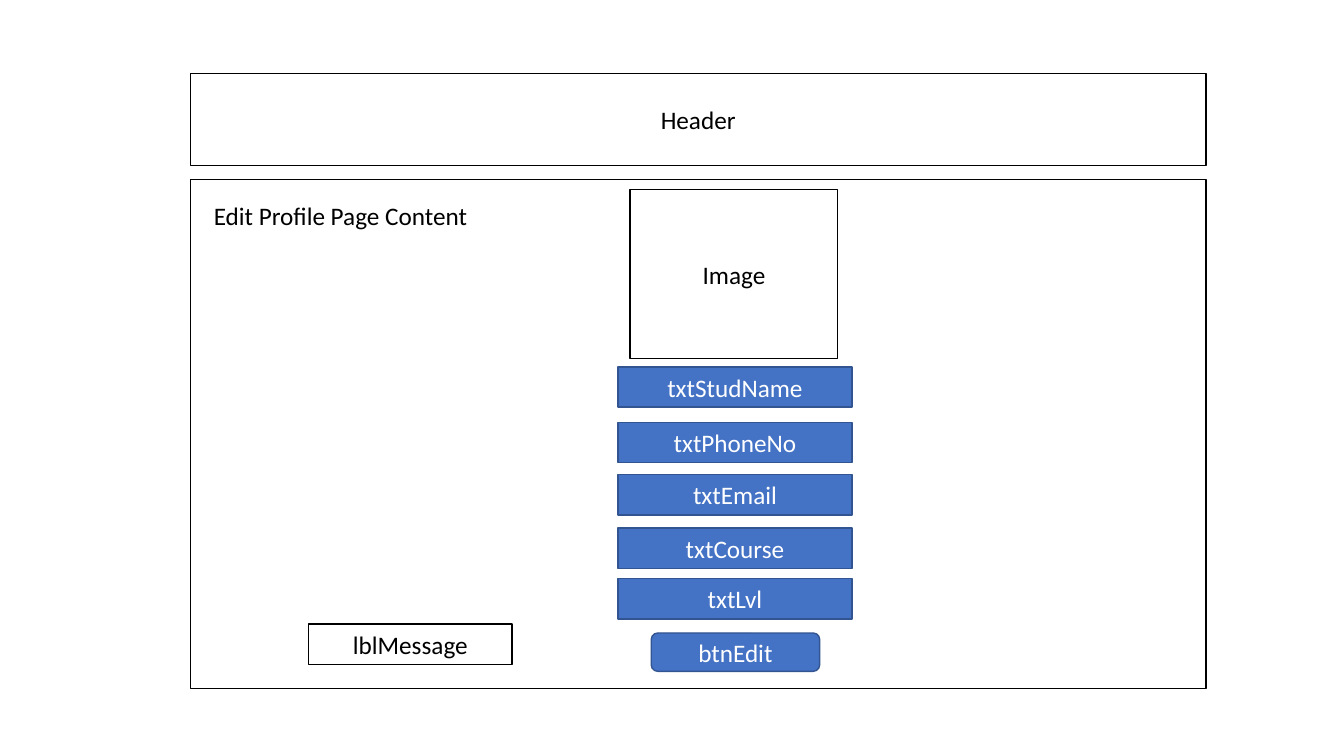
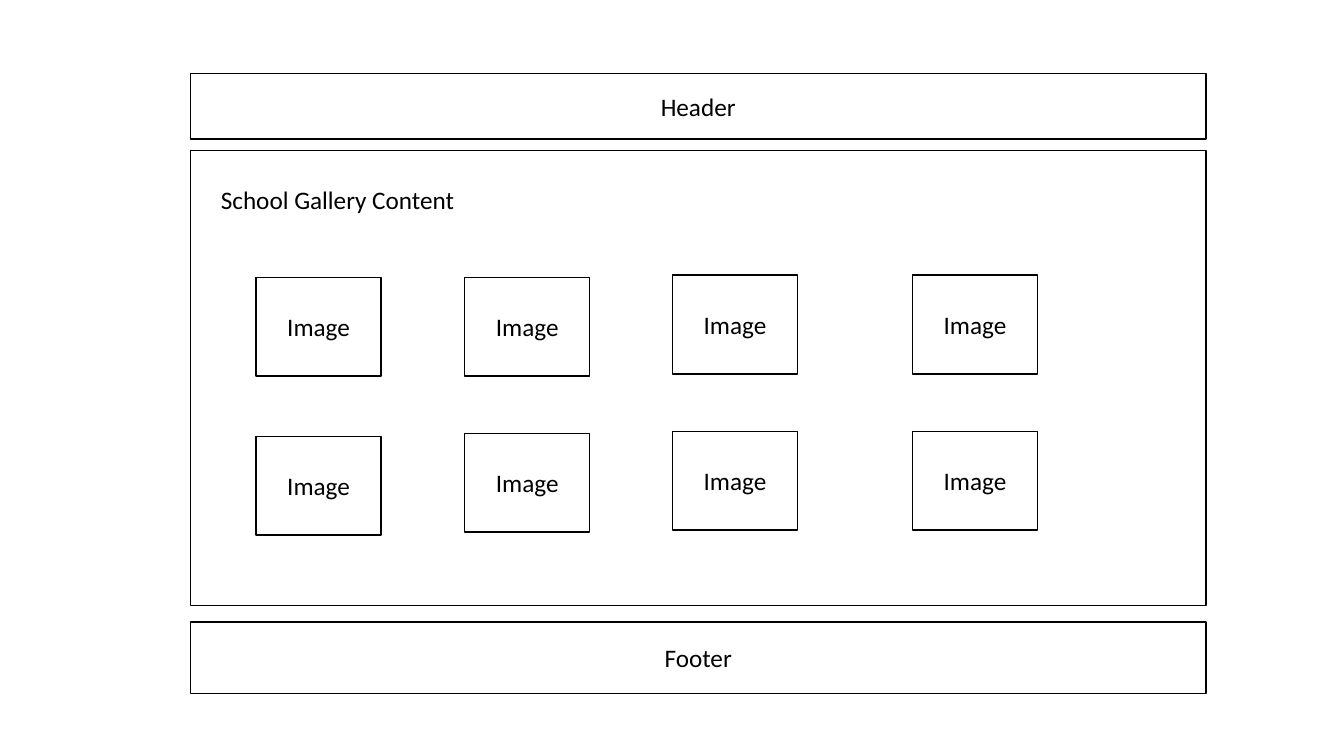
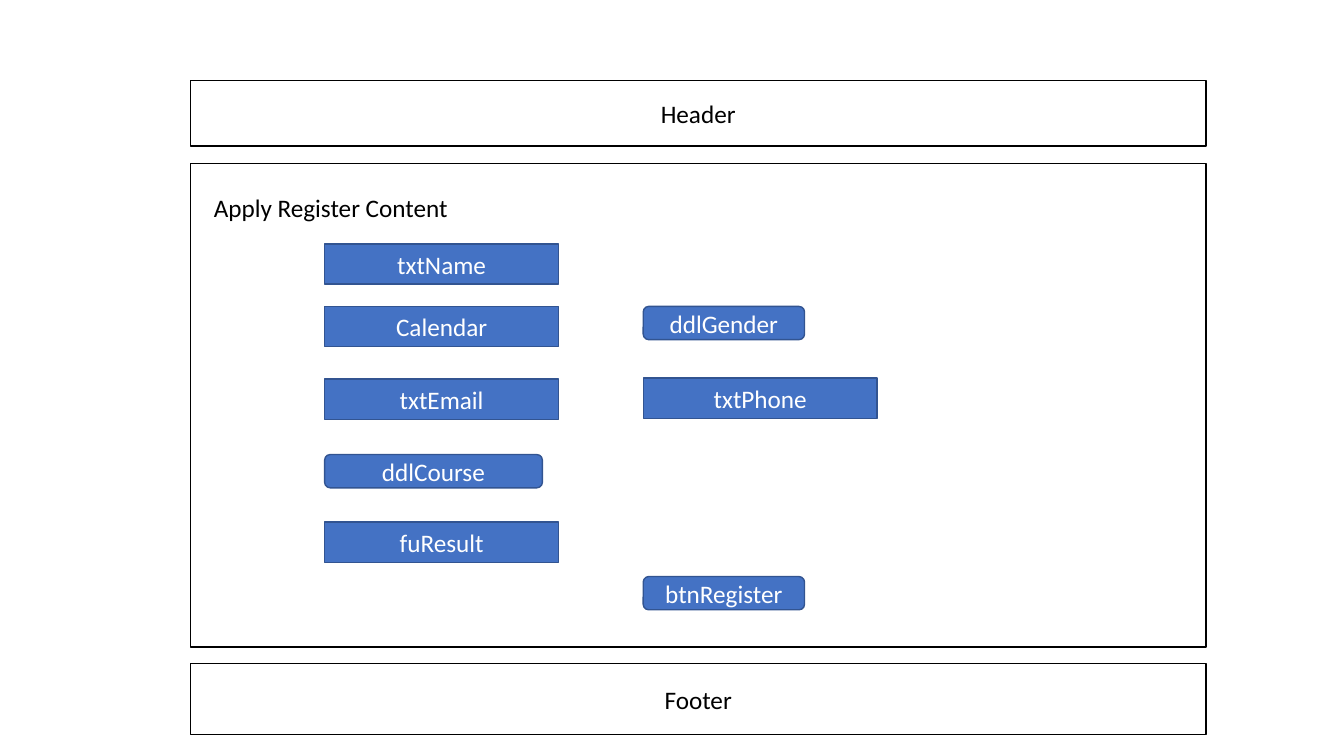
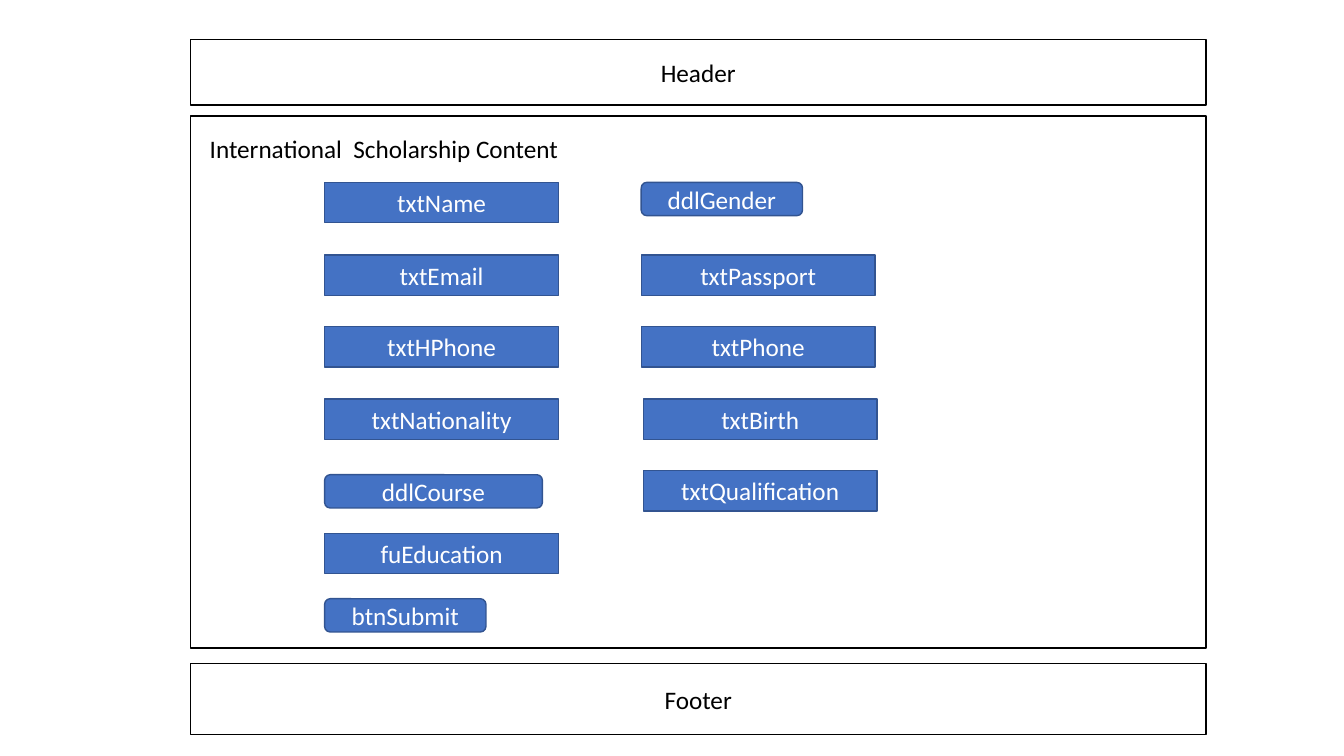
from collections import namedtuple

from pptx import Presentation
from pptx.dml.color import RGBColor
from pptx.enum.shapes import MSO_SHAPE
from pptx.enum.text import MSO_ANCHOR, MSO_AUTO_SIZE, PP_ALIGN
from pptx.util import Inches, Pt

RECTANGLE = MSO_SHAPE.RECTANGLE
ROUNDED = MSO_SHAPE.ROUNDED_RECTANGLE
LEFT, CENTER = PP_ALIGN.LEFT, PP_ALIGN.CENTER
TOP, MIDDLE = MSO_ANCHOR.TOP, MSO_ANCHOR.MIDDLE
NO_AUTOFIT = MSO_AUTO_SIZE.NONE
TITLE_ONLY = 5

Box = namedtuple("Box", "left top width height")
Style = namedtuple("Style", "fill line text")
Control = namedtuple("Control", "kind width height")

OUTLINE = Style("FFFFFF", "000000", "000000")
ACCENT = Style("4472C4", "325491", "FFFFFF")
FONT, TEXT_SIZE = "Calibri", 18

PAGE_LEFT, PAGE_WIDTH = 1.89, 10.07
HEADER_HEIGHT, FOOTER_HEIGHT = 0.65, 0.71

FIELD = Control(RECTANGLE, 2.32, 0.4)
BUTTON = Control(ROUNDED, 1.6, 0.33)
EDIT_BUTTON = Control(ROUNDED, 1.67, 0.38)
DROPDOWN = Control(ROUNDED, 2.16, 0.33)
FIRST_COLUMN, SECOND_COLUMN = 1.33, 4.49


def color(value):
    """Turn a hex string into a colour."""
    return RGBColor.from_string(value)


def inside(parent, left, top, width, height):
    """Return a box offset from the corner of its parent box."""
    return Box(parent.left + left, parent.top + top, width, height)


def write(shape, text, text_color, alignment, anchor):
    """Write one line of text in the shared style."""
    frame = shape.text_frame
    frame.word_wrap = True
    frame.vertical_anchor = anchor
    paragraph = frame.paragraphs[0]
    paragraph.alignment = alignment
    run = paragraph.add_run()
    run.text = text
    run.font.name = FONT
    run.font.size = Pt(TEXT_SIZE)
    run.font.color.rgb = color(text_color)


def add_box(slide, box, text="", style=OUTLINE, kind=RECTANGLE):
    """Draw a bordered box with an optional centred label."""
    shape = slide.shapes.add_shape(kind, *map(Inches, box))
    shape.shadow.inherit = False
    shape.fill.solid()
    shape.fill.fore_color.rgb = color(style.fill)
    shape.line.color.rgb = color(style.line)
    shape.line.width = Pt(1)
    if text:
        write(shape, text, style.text, CENTER, MIDDLE)
    return shape


def add_band(slide, text, top, height):
    """Draw a header or footer across the page."""
    add_box(slide, Box(PAGE_LEFT, top, PAGE_WIDTH, height), text)


def add_content(slide, title, top, height, title_left, title_top, title_width=3.39):
    """Draw the content panel with its title on top and return its box."""
    box = Box(PAGE_LEFT, top, PAGE_WIDTH, height)
    panel = add_box(slide, box)
    heading = slide.shapes.title
    place = inside(box, title_left, title_top, title_width, 0.4)
    heading.left, heading.top, heading.width, heading.height = map(Inches, place)
    heading.text_frame.auto_size = NO_AUTOFIT
    write(heading, title, OUTLINE.text, LEFT, TOP)
    panel.element.addnext(heading.element)
    return box


def add_controls(slide, panel, controls):
    """Place form controls at offsets from the panel corner."""
    for text, control, left, top in controls:
        box = inside(panel, left, top, control.width, control.height)
        add_box(slide, box, text, ACCENT, control.kind)


def build_profile(slide):
    """Build the page for editing a profile."""
    add_band(slide, "Header", 0.73, 0.91)
    panel = add_content(slide, "Edit Profile Page Content", 1.78, 5.05, 0.13, 0.16)
    add_box(slide, inside(panel, 4.36, 0.1, 2.06, 1.68), "Image")
    fields = [("txtStudName", 1.86), ("txtPhoneNo", 2.41), ("txtEmail", 2.93),
              ("txtCourse", 3.46), ("txtLvl", 3.96)]
    add_controls(slide, panel, [(text, FIELD, 4.24, top) for text, top in fields])
    add_controls(slide, panel, [("btnEdit", EDIT_BUTTON, 4.57, 4.5)])
    add_box(slide, inside(panel, 1.17, 4.41, 2.02, 0.4), "lblMessage")


def build_gallery(slide):
    """Build the gallery page."""
    add_band(slide, "Header", 0.73, HEADER_HEIGHT)
    panel = add_content(slide, "School Gallery Content", 1.49, 4.52, 0.2, 0.29)
    columns = [(0.65, 1.26, 2.84), (2.72, 1.26, 2.81),
               (4.78, 1.24, 2.79), (7.16, 1.24, 2.79)]
    for left, *tops in columns:
        for top in tops:
            add_box(slide, inside(panel, left, top, 1.24, 0.98), "Image")
    add_band(slide, "Footer", 6.17, FOOTER_HEIGHT)


def build_register(slide):
    """Build the registration form page."""
    add_band(slide, "Header", 0.8, HEADER_HEIGHT)
    panel = add_content(slide, "Apply Register Content", 1.62, 4.8, 0.13, 0.24)
    add_controls(slide, panel, [
        ("txtName", FIELD, FIRST_COLUMN, 0.8),
        ("Calendar", FIELD, FIRST_COLUMN, 1.42),
        ("ddlGender", BUTTON, SECOND_COLUMN, 1.42),
        ("txtEmail", FIELD, FIRST_COLUMN, 2.14),
        ("txtPhone", FIELD, SECOND_COLUMN, 2.13),
        ("ddlCourse", DROPDOWN, FIRST_COLUMN, 2.89),
        ("fuResult", FIELD, FIRST_COLUMN, 3.56),
        ("btnRegister", BUTTON, SECOND_COLUMN, 4.1),
    ])
    add_band(slide, "Footer", 6.58, FOOTER_HEIGHT)


def build_scholarship(slide):
    """Build the scholarship form page."""
    add_band(slide, "Header", 0.39, HEADER_HEIGHT)
    panel = add_content(slide, "International  Scholarship Content",
                        1.15, 5.28, 0.09, 0.12, 4.09)
    upper_column = SECOND_COLUMN - 0.02
    add_controls(slide, panel, [
        ("txtName", FIELD, FIRST_COLUMN, 0.66),
        ("ddlGender", BUTTON, upper_column, 0.66),
        ("txtEmail", FIELD, FIRST_COLUMN, 1.38),
        ("txtPassport", FIELD, upper_column, 1.38),
        ("txtHPhone", FIELD, FIRST_COLUMN, 2.09),
        ("txtPhone", FIELD, upper_column, 2.09),
        ("txtNationality", FIELD, FIRST_COLUMN, 2.81),
        ("txtBirth", FIELD, SECOND_COLUMN, 2.81),
        ("ddlCourse", DROPDOWN, FIRST_COLUMN, 3.56),
        ("txtQualification", FIELD, SECOND_COLUMN, 3.52),
        ("fuEducation", FIELD, FIRST_COLUMN, 4.14),
        ("btnSubmit", BUTTON, FIRST_COLUMN, 4.79),
    ])
    add_band(slide, "Footer", 6.58, FOOTER_HEIGHT)


def main():
    """Build every page and save the presentation."""
    presentation = Presentation()
    presentation.slide_width = Inches(13.33)
    presentation.slide_height = Inches(7.5)
    layout = presentation.slide_layouts[TITLE_ONLY]
    for build in (build_profile, build_gallery, build_register, build_scholarship):
        build(presentation.slides.add_slide(layout))
    presentation.save("out.pptx")


if __name__ == "__main__":
    main()
